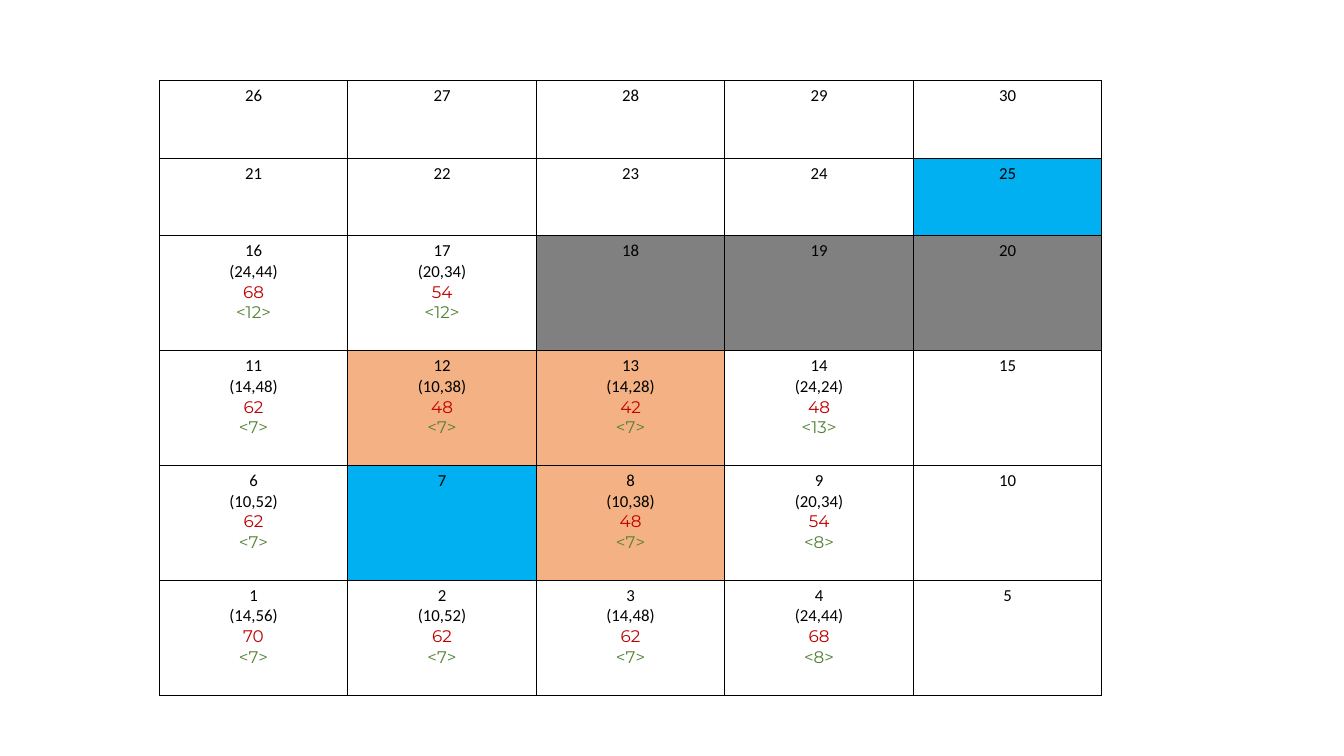
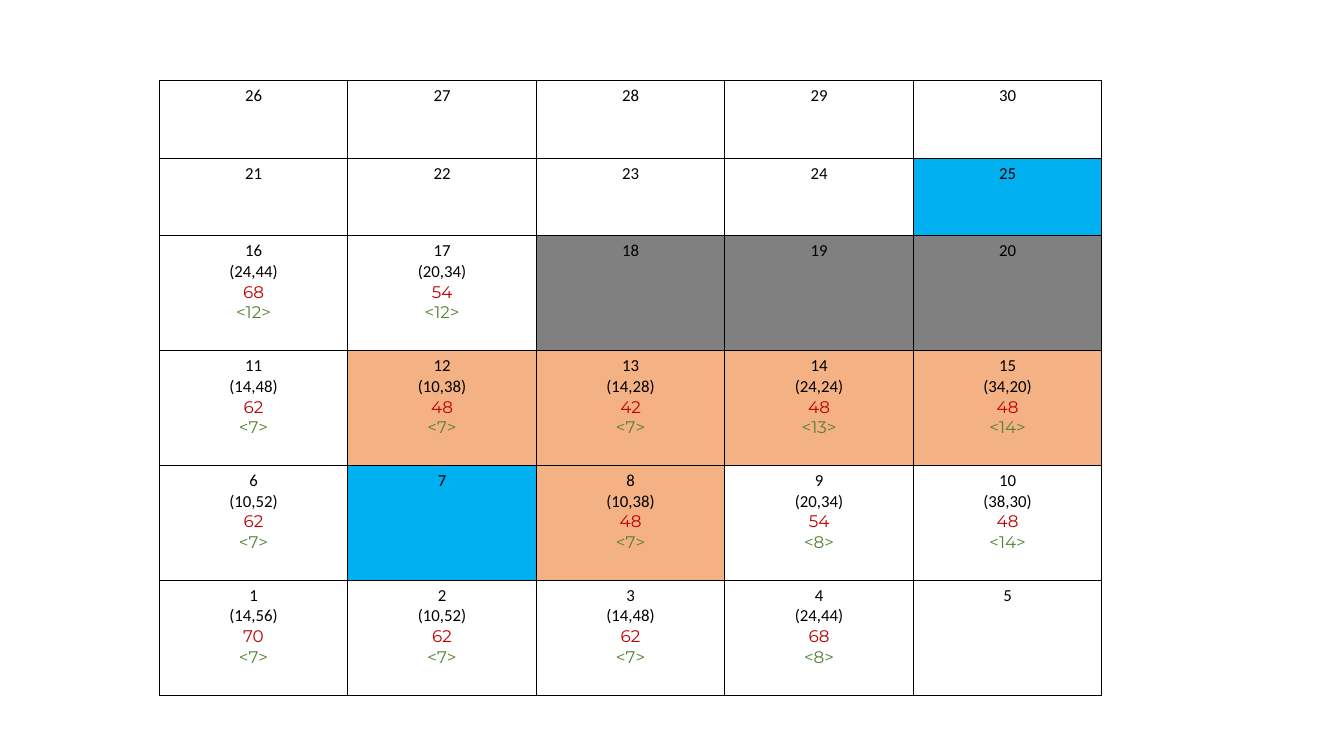
from lxml import etree
from pptx import Presentation
from pptx.dml import color
from pptx.enum import text
from pptx.oxml import ns
from pptx.util import Emu, Pt

PX = 9144
COLUMNS = 5
COLUMN_WIDTH = 187
ROW_HEIGHTS = [77, 77, 114, 114, 114, 114]
BLACK, WHITE, RED, GREEN = "000000", "FFFFFF", "C00000", "548235"
ENDPOINT, WALL, VISITED = "00B0F0", "808080", "F4B183"


def rgb(value):
    return color.RGBColor.from_string(value)


def add_borders(cell):
    properties = cell._tc.get_or_add_tcPr()
    for side in ("a:lnL", "a:lnR", "a:lnT", "a:lnB"):
        line = etree.SubElement(properties, ns.qn(side), w=str(Pt(1)))
        fill = etree.SubElement(line, ns.qn("a:solidFill"))
        etree.SubElement(fill, ns.qn("a:srgbClr"), val=BLACK)


first_scores = {
    1: ("(14,56)", 70, 7), 2: ("(10,52)", 62, 7),
    3: ("(14,48)", 62, 7), 4: ("(24,44)", 68, 8),
    6: ("(10,52)", 62, 7), 8: ("(10,38)", 48, 7), 9: ("(20,34)", 54, 8),
    11: ("(14,48)", 62, 7), 12: ("(10,38)", 48, 7),
    13: ("(14,28)", 42, 7), 14: ("(24,24)", 48, 13),
    16: ("(24,44)", 68, 12), 17: ("(20,34)", 54, 12),
}
added_scores = {10: ("(38,30)", 48, 14), 15: ("(34,20)", 48, 14)}
first_fills = {
    7: ENDPOINT, 25: ENDPOINT,
    18: WALL, 19: WALL, 20: WALL,
    8: VISITED, 12: VISITED, 13: VISITED,
}
added_fills = {14: VISITED, 15: VISITED}
search_steps = [
    (first_scores, first_fills),
    (first_scores | added_scores, first_fills | added_fills),
]

deck = Presentation()
deck.slide_width, deck.slide_height = Emu(1333 * PX), Emu(750 * PX)

for scores, fills in search_steps:
    slide = deck.slides.add_slide(deck.slide_layouts[6])
    grid = slide.shapes.add_table(
        len(ROW_HEIGHTS), COLUMNS, Emu(158 * PX), Emu(80 * PX),
        Emu(COLUMNS * COLUMN_WIDTH * PX), Emu(sum(ROW_HEIGHTS) * PX)).table
    grid.first_row = False
    grid.horz_banding = False
    for column in grid.columns:
        column.width = Emu(COLUMN_WIDTH * PX)

    for row, height in enumerate(ROW_HEIGHTS):
        grid.rows[row].height = Emu(height * PX)
        for column in range(COLUMNS):
            number = (len(ROW_HEIGHTS) - 1 - row) * COLUMNS + column + 1
            cell = grid.cell(row, column)
            add_borders(cell)
            cell.fill.solid()
            cell.fill.fore_color.rgb = rgb(fills.get(number, WHITE))

            entries = [(str(number), "Calibri", BLACK)]
            if number in scores:
                costs, total, parent = scores[number]
                entries += [(costs, "Calibri", BLACK),
                            (str(total), "Montserrat", RED),
                            (f"<{parent}>", "Montserrat", GREEN)]
            for index, (words, font, ink) in enumerate(entries):
                frame = cell.text_frame
                paragraph = frame.add_paragraph() if index else frame.paragraphs[0]
                paragraph.alignment = text.PP_ALIGN.CENTER
                run = paragraph.add_run()
                run.text = words
                run.font.name = font
                run.font.size = Pt(12)
                run.font.color.rgb = rgb(ink)

deck.save("out.pptx")
